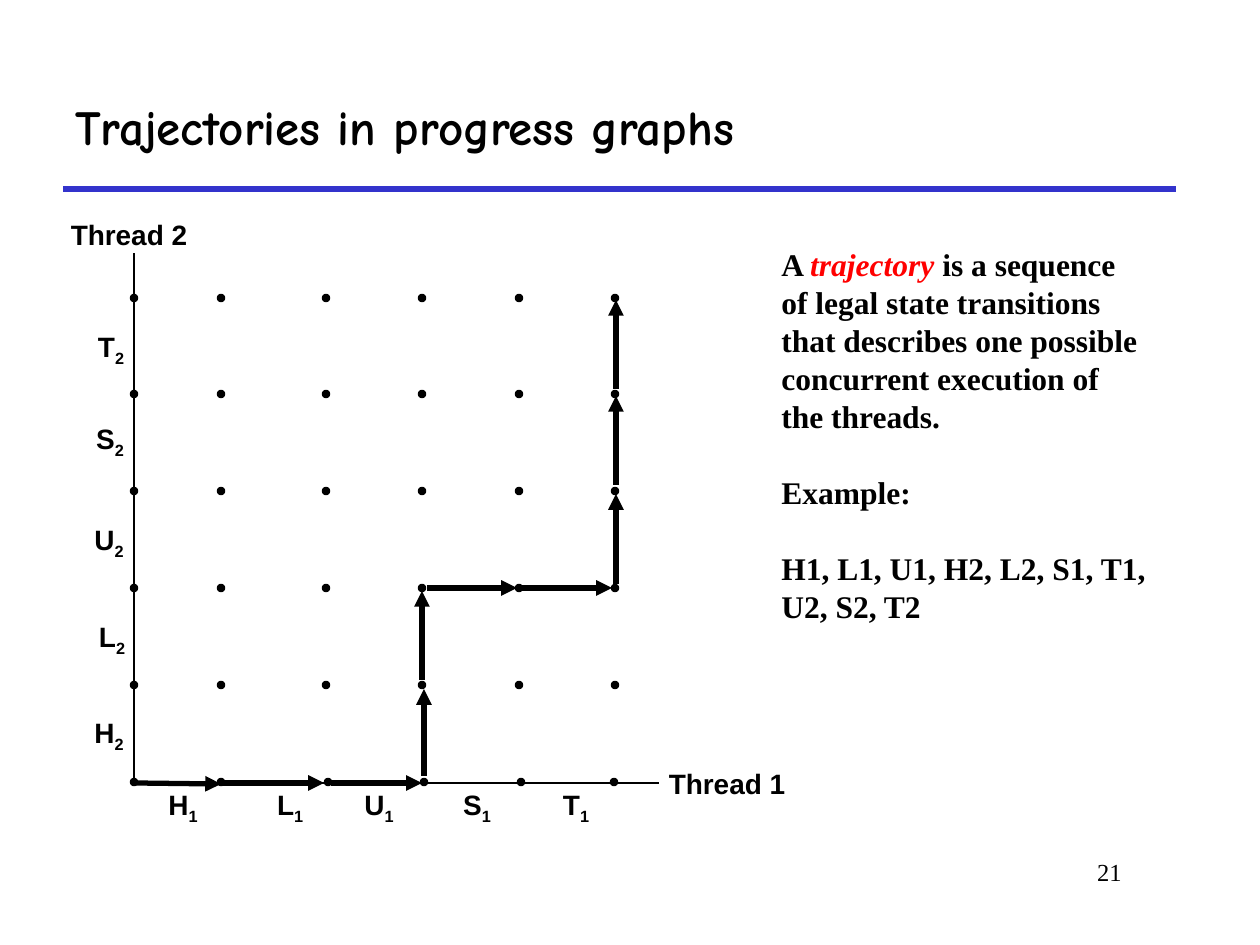
"""Build a slide showing a trajectory through a progress graph of two threads."""
from lxml import etree
from pptx import Presentation
from pptx.dml.color import RGBColor
from pptx.enum.shapes import MSO_CONNECTOR, MSO_SHAPE
from pptx.enum.text import MSO_ANCHOR, PP_ALIGN
from pptx.oxml.ns import qn
from pptx.util import Pt

PX = 914400 / 126
BLACK = RGBColor(0x00, 0x00, 0x00)
RED = RGBColor(0xFF, 0x00, 0x00)
BLUE = RGBColor(0x33, 0x33, 0xCC)
STRAIGHT = MSO_CONNECTOR.STRAIGHT
OVAL = MSO_SHAPE.OVAL
TOP, MIDDLE = MSO_ANCHOR.TOP, MSO_ANCHOR.MIDDLE
LEFT, CENTER, RIGHT = PP_ALIGN.LEFT, PP_ALIGN.CENTER, PP_ALIGN.RIGHT

deck = Presentation()
deck.slide_width, deck.slide_height = round(1260 * PX), round(945 * PX)
page = deck.slides.add_slide(deck.slide_layouts[6])


def add_text(bounds, lines, font, size, bold=True, align=LEFT, anchor=MIDDLE):
    box = page.shapes.add_textbox(*(round(value * PX) for value in bounds))
    frame = box.text_frame
    frame.word_wrap = True
    frame.vertical_anchor = anchor
    frame.text = "\n".join(lines)
    for para in frame.paragraphs:
        para.alignment = align
        para.font.name = font
        para.font.size = Pt(size)
        para.font.bold = bold
        para.font.color.rgb = BLACK
    return frame.paragraphs


def add_line(ends, color, width, arrow=False):
    line = page.shapes.add_connector(STRAIGHT, *(round(value * PX) for value in ends))
    line.line.color.rgb = color
    line.line.width = Pt(width)
    if arrow:
        etree.SubElement(line.line._get_or_add_ln(), qn("a:tailEnd"), type="triangle")
    etree.SubElement(line._element.spPr, qn("a:effectLst"))


add_line((63, 189, 1176, 189), BLUE, 3)
add_text((63, 63, 1113, 126), ["Trajectories in progress graphs"], "Comic Neue", 28)
add_text((955, 851, 179, 63), ["21"], "Times New Roman", 14, False, RIGHT, TOP)

definition = add_text(
    (769, 239, 438, 391),
    ["", "of legal state transitions", "that describes one possible",
     "concurrent execution of", "the threads.", "Example:",
     "H1, L1, U1, H2, L2, S1, T1, U2, S2, T2"],
    "Times New Roman", 18)
for para in definition:
    para.line_spacing = Pt(21.7)
for para in definition[-2:]:
    para.space_before = Pt(21.7)
for text in ("A ", "trajectory ", "is a sequence"):
    span = definition[0].add_run()
    span.text = text
    if text == "trajectory ":
        span.font.italic = True
        span.font.color.rgb = RED

add_line((134, 783, 659, 783), BLACK, 1)
add_line((134, 783, 134, 253), BLACK, 1)
add_text((637, 760, 180, 47), ["Thread 1"], "Arial", 16, align=CENTER)
add_text((39, 211, 180, 47), ["Thread 2"], "Arial", 16, align=CENTER)

steps = "HLUST"
label_places = {
    "1": [(x, 807) for x in (183, 290, 379, 477, 576)],
    "2": [(x, y) for x, y in zip((109, 112, 109, 110, 111), (735, 639, 542, 441, 349))],
}
for thread, places in label_places.items():
    for step, (x, y) in zip(steps, places):
        label = add_text((x - 40, y - 26, 80, 52), [step], "Arial", 16, align=CENTER)[0]
        span = label.add_run()
        span.text = thread
        span._r.get_or_add_rPr().set("baseline", "-25000")

axis_row = (134, 221, 328, 424, 521, 614)
inner_row = (134, 221, 326, 422, 519, 615)
rows = [(782, axis_row)] + [(y, inner_row) for y in (685, 588, 491, 394, 298)]
for y, columns in rows:
    for x in columns:
        dot = page.shapes.add_shape(OVAL, *(round(v * PX) for v in (x - 2.5, y - 2.5, 5, 5)))
        dot.shadow.inherit = False
        dot.fill.solid()
        dot.fill.fore_color.rgb = BLACK
        dot.line.color.rgb = BLACK
        dot.line.width = Pt(2)

trajectory = [
    (136, 783, 221, 784), (222, 783, 324, 783), (331, 783, 422, 783),
    (424, 776, 424, 689), (422, 680, 422, 591),
    (427, 588, 517, 588), (522, 588, 612, 588),
    (616, 584, 616, 494), (616, 485, 616, 396), (616, 389, 616, 300),
]
for transition in trajectory:
    add_line(transition, BLACK, 3, arrow=True)

deck.save("out.pptx")
